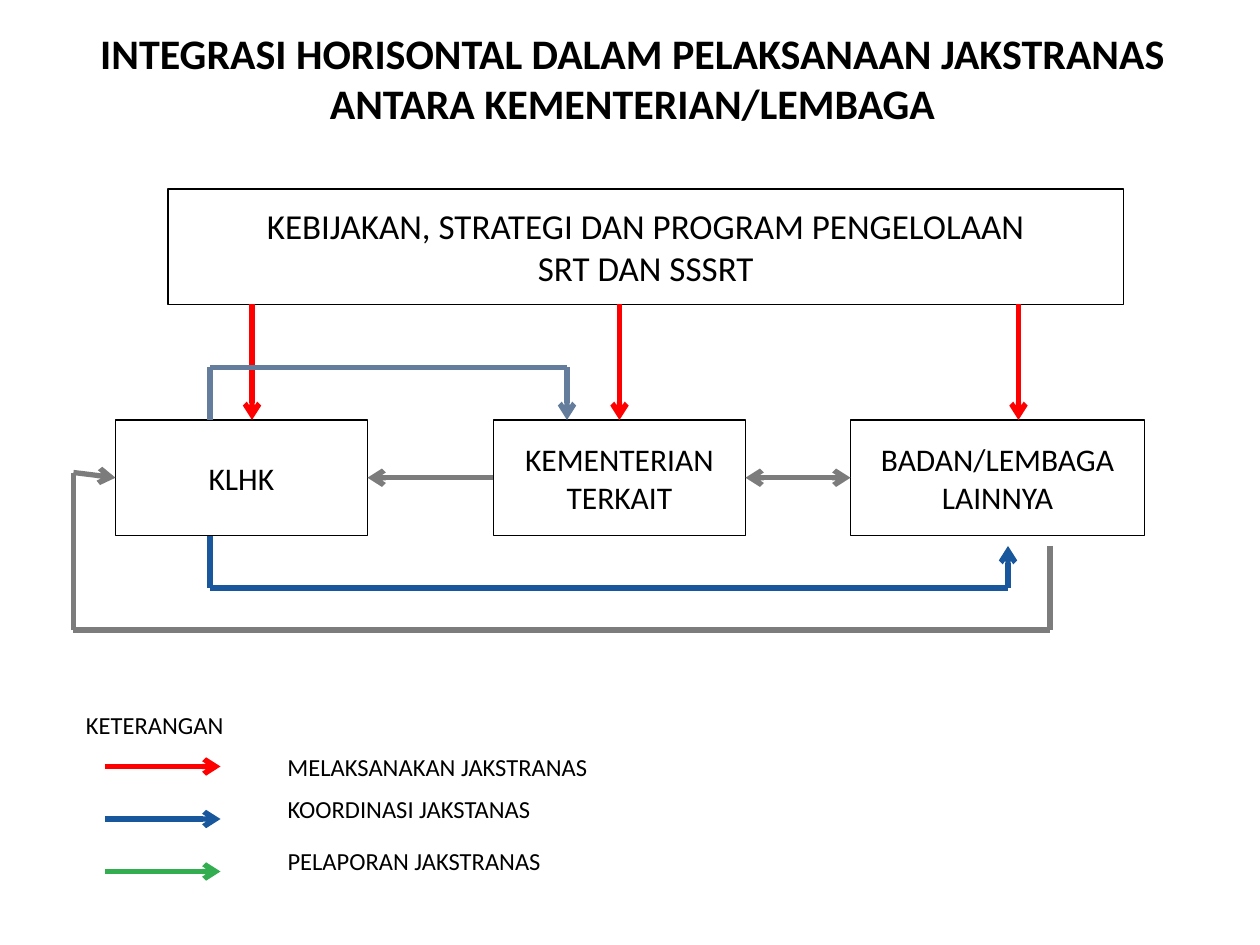
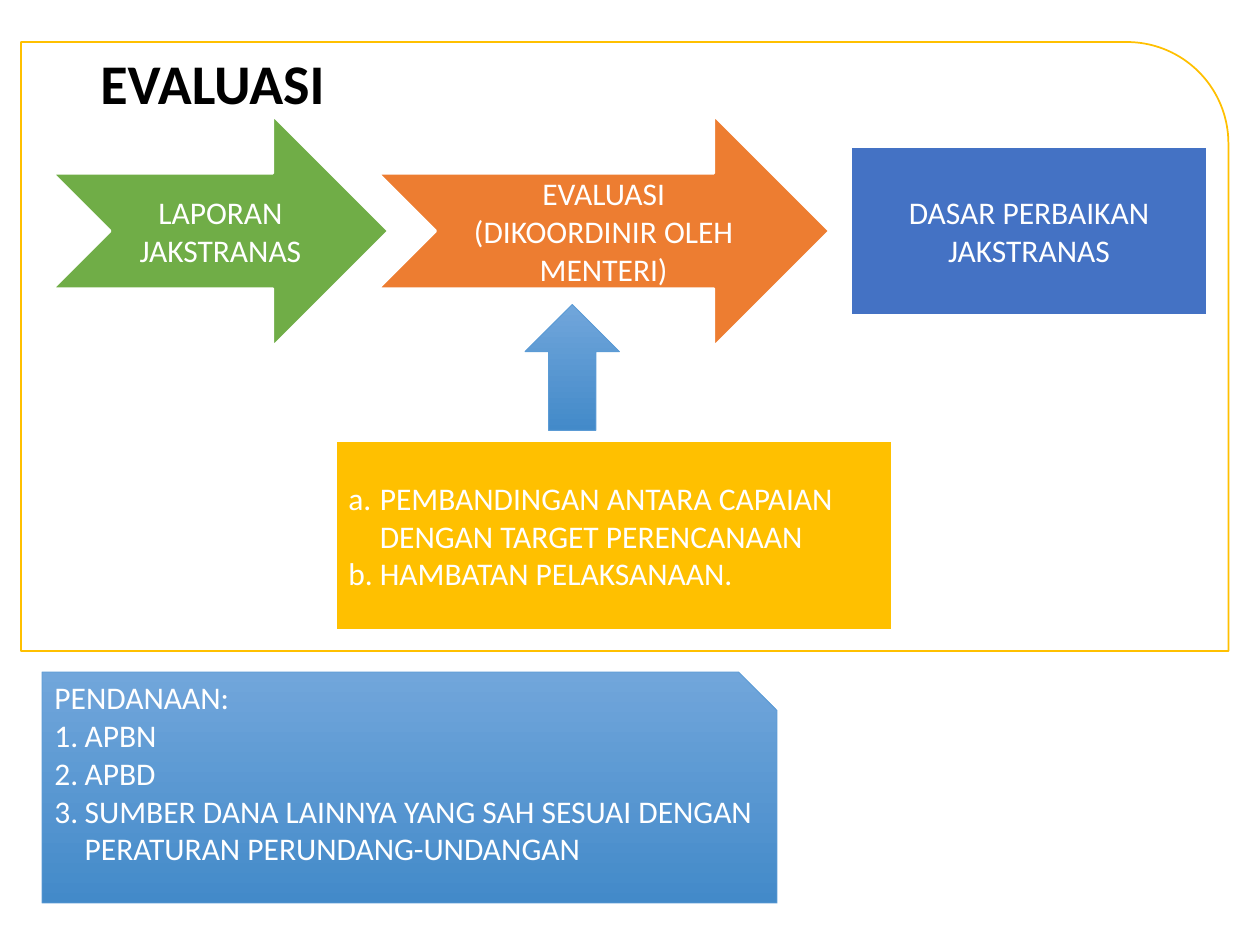
from dataclasses import dataclass

from lxml import etree
from pptx import Presentation
from pptx.dml.color import RGBColor
from pptx.enum.shapes import MSO_CONNECTOR, MSO_SHAPE
from pptx.enum.text import MSO_ANCHOR, MSO_AUTO_SIZE, PP_ALIGN
from pptx.oxml.ns import qn
from pptx.util import Inches, Pt

RECTANGLE = MSO_SHAPE.RECTANGLE
NOTCHED_ARROW = MSO_SHAPE.NOTCHED_RIGHT_ARROW
UP_ARROW = MSO_SHAPE.UP_ARROW
ROUND_CORNER = MSO_SHAPE.ROUND_1_RECTANGLE
STRAIGHT = MSO_CONNECTOR.STRAIGHT
TOP, MIDDLE = MSO_ANCHOR.TOP, MSO_ANCHOR.MIDDLE
LEFT, CENTER = PP_ALIGN.LEFT, PP_ALIGN.CENTER

FONT = "Calibri"
TITLE_ONLY = 5
CELL = Inches(1) / 12  # the slide is a grid of 120 columns by 90 rows
COLUMNS, ROWS = 120, 90

BLACK, WHITE = "000000", "FFFFFF"
RED, NAVY, SLATE, GRAY, LEAF = "FF0000", "18579B", "657D9D", "7C7C7C", "32AE51"
GREEN, ORANGE, AMBER, BLUE, SKY = "70AD47", "ED7D31", "FFC000", "4472C4", "5B9BD5"
SKY_GRADIENT = ("71A6DB", "438AC9")


@dataclass
class Box:
    """A rectangle in grid cells."""
    left: float
    top: float
    width: float
    height: float

    def inside(self, left, top, width, height):
        return Box(self.left + left, self.top + top, width, height)

    def point(self, column, row):
        return cells(self.left + column), cells(self.top + row)

    def frame(self):
        return [cells(side) for side in (self.left, self.top, self.width, self.height)]


def cells(count):
    return round(count * CELL)


def color(value):
    return RGBColor.from_string(value)


def apply(target, **values):
    for name, value in values.items():
        setattr(target, name, value)


# Text

def add_numbering(para, style, indent):
    properties = para._p.get_or_add_pPr()
    properties.set("marL", str(Inches(indent)))
    properties.set("indent", str(-Inches(indent)))
    etree.SubElement(properties, qn("a:buFont"), typeface=FONT)
    etree.SubElement(properties, qn("a:buAutoNum"), type=style)


def write(shape, lines, size, ink=BLACK, bold=False, align=CENTER, anchor=MIDDLE,
          wrap=True, numbering=None, indent=0.25, first_item=0):
    frame = shape.text_frame
    apply(frame, word_wrap=wrap, auto_size=MSO_AUTO_SIZE.NONE, vertical_anchor=anchor,
          margin_left=Inches(0.1), margin_right=Inches(0.1),
          margin_top=Inches(0.05), margin_bottom=Inches(0.05))
    for index, line in enumerate(lines):
        para = frame.paragraphs[0] if index == 0 else frame.add_paragraph()
        if numbering and index >= first_item:
            add_numbering(para, numbering, indent)
        para.alignment = align
        span = para.add_run()
        span.text = line
        apply(span.font, name=FONT, size=Pt(size), bold=bold)
        span.font.color.rgb = color(ink)


def add_label(page, box, text, size=14):
    label = page.shapes.add_textbox(*box.frame())
    write(label, [text], size, align=LEFT, anchor=TOP, wrap=False)


def add_title(page, box, lines, size):
    title = page.shapes.title
    apply(title, **dict(zip(("left", "top", "width", "height"), box.frame())))
    write(title, lines, size, bold=True, anchor=TOP, wrap=False)
    page.shapes._spTree.append(title._element)  # bring to front


# Shapes and lines

def paint(shape, fill, outline, weight):
    shape.shadow.inherit = False
    if isinstance(fill, tuple):
        shape.fill.gradient()
        shape.fill.gradient_angle = 270
        for stop, shade in zip(shape.fill.gradient_stops, fill):
            stop.color.rgb = color(shade)
    else:
        shape.fill.solid()
        shape.fill.fore_color.rgb = color(fill)
    shape.line.color.rgb = color(outline)
    shape.line.width = Pt(weight)


def add_block(page, kind, box, fill, outline=WHITE, weight=1.5):
    block = page.shapes.add_shape(kind, *box.frame())
    paint(block, fill, outline, weight)
    return block


def add_route(page, box, points, shade, both_ends=False):
    """Draw straight segments through the points, with an arrow at the end."""
    segments = list(zip(points, points[1:]))
    for index, (start, end) in enumerate(segments):
        segment = page.shapes.add_connector(STRAIGHT, *box.point(*start), *box.point(*end))
        segment.line.color.rgb = color(shade)
        segment.line.width = Pt(3)
        properties = segment._element.spPr
        outline = properties.find(qn("a:ln"))
        if both_ends:
            etree.SubElement(outline, qn("a:headEnd"), type="arrow")
        if index == len(segments) - 1:
            etree.SubElement(outline, qn("a:tailEnd"), type="arrow")
        etree.SubElement(properties, qn("a:effectLst"))


# Slide 1: horizontal integration

def draw_institutions(page, box):
    head, row, height = 11, 22, 11
    middle, foot = row + height / 2, row + height
    boxes = [
        (9, 0, 91, ["KEBIJAKAN, STRATEGI DAN PROGRAM PENGELOLAAN", "SRT DAN SSSRT"], 20),
        (4, row, 24, ["KLHK"], 18),
        (40, row, 24, ["KEMENTERIAN TERKAIT"], 18),
        (74, row, 28, ["BADAN/LEMBAGA LAINNYA"], 18),
    ]
    for left, top, width, lines, size in boxes:
        block = add_block(page, RECTANGLE, box.inside(left, top, width, height), WHITE, BLACK, 1)
        write(block, lines, size)

    # Implementation
    for column in (17, 52, 90):
        add_route(page, box, [(column, head), (column, row)], RED)
    # Coordination
    add_route(page, box, [(13, row), (13, 17), (47, 17), (47, row)], SLATE)
    add_route(page, box, [(13, foot), (13, 38), (89, 38), (89, foot + 1)], NAVY)
    # Reporting
    add_route(page, box, [(74, middle), (64, middle)], GRAY, both_ends=True)
    add_route(page, box, [(40, middle), (28, middle)], GRAY)
    add_route(page, box, [(93, foot + 1), (93, 42), (0, 42), (0, 27), (4, middle)], GRAY)


def draw_legend(page, box):
    add_label(page, box.inside(0, 0, 15.5, 4), "KETERANGAN")
    entries = [
        (RED, 4, 31, "MELAKSANAKAN JAKSTRANAS"),
        (NAVY, 8, 26, "KOORDINASI JAKSTANAS"),
        (LEAF, 13, 26.5, "PELAPORAN JAKSTRANAS"),
    ]
    for index, (shade, top, width, text) in enumerate(entries):
        row = 6 + 5 * index
        add_route(page, box, [(3, row), (14, row)], shade)
        add_label(page, box.inside(19.2, top, width, 4), text)


def build_integration(page):
    draw_institutions(page, Box(7, 18, 102, 42))
    draw_legend(page, Box(7, 67, 56, 18))
    add_title(page, Box(8, 2, 104.5, 11),
              ["INTEGRASI HORISONTAL DALAM PELAKSANAAN JAKSTRANAS",
               "ANTARA KEMENTERIAN/LEMBAGA"], 24)


# Slide 2: evaluation and funding

def draw_evaluation(page, box):
    add_block(page, ROUND_CORNER, box, WHITE, AMBER, 1)
    steps = [
        (NOTCHED_ARROW, (3, 7, 32, 22), GREEN, ["LAPORAN", "JAKSTRANAS"]),
        (NOTCHED_ARROW, (34, 7, 43, 22), ORANGE, ["EVALUASI", "(DIKOORDINIR OLEH MENTERI)"]),
        (RECTANGLE, (79, 10, 34, 16), BLUE, ["DASAR PERBAIKAN", "JAKSTRANAS"]),
    ]
    for kind, place, fill, lines in steps:
        write(add_block(page, kind, box.inside(*place), fill), lines, 18, WHITE)

    # Criteria feeding the evaluation
    add_block(page, UP_ARROW, box.inside(48, 25, 9, 12), SKY_GRADIENT, SKY, 0.5)
    criteria = add_block(page, RECTANGLE, box.inside(30, 38, 53, 18), AMBER)
    write(criteria, ["PEMBANDINGAN ANTARA CAPAIAN DENGAN TARGET PERENCANAAN",
                     "HAMBATAN PELAKSANAAN."],
          18, WHITE, align=LEFT, numbering="alphaLcPeriod")


def draw_funding(page, box):
    snip = box.height / 6
    corners = [(0, 0), (box.width - snip, 0), (box.width, snip),
               (box.width, box.height), (0, box.height)]
    start, *others = [box.point(*corner) for corner in corners]
    outline = page.shapes.build_freeform(*start)
    outline.add_line_segments(others, close=True)
    card = outline.convert_to_shape()
    paint(card, SKY_GRADIENT, SKY, 0.5)
    write(card, ["PENDANAAN:", "APBN", "APBD",
                 "SUMBER DANA LAINNYA YANG SAH SESUAI DENGAN PERATURAN PERUNDANG-UNDANGAN"],
          18, WHITE, align=LEFT, anchor=TOP,
          numbering="arabicPeriod", indent=0.24, first_item=1)


def build_evaluation(page):
    draw_evaluation(page, Box(2, 4, 115, 58))
    draw_funding(page, Box(4, 64, 70, 22))
    add_title(page, Box(8, 4, 24.5, 8), ["EVALUASI"], 32)


def main():
    deck = Presentation()
    deck.slide_width, deck.slide_height = cells(COLUMNS), cells(ROWS)
    for build in (build_integration, build_evaluation):
        build(deck.slides.add_slide(deck.slide_layouts[TITLE_ONLY]))
    deck.save("out.pptx")


if __name__ == "__main__":
    main()
